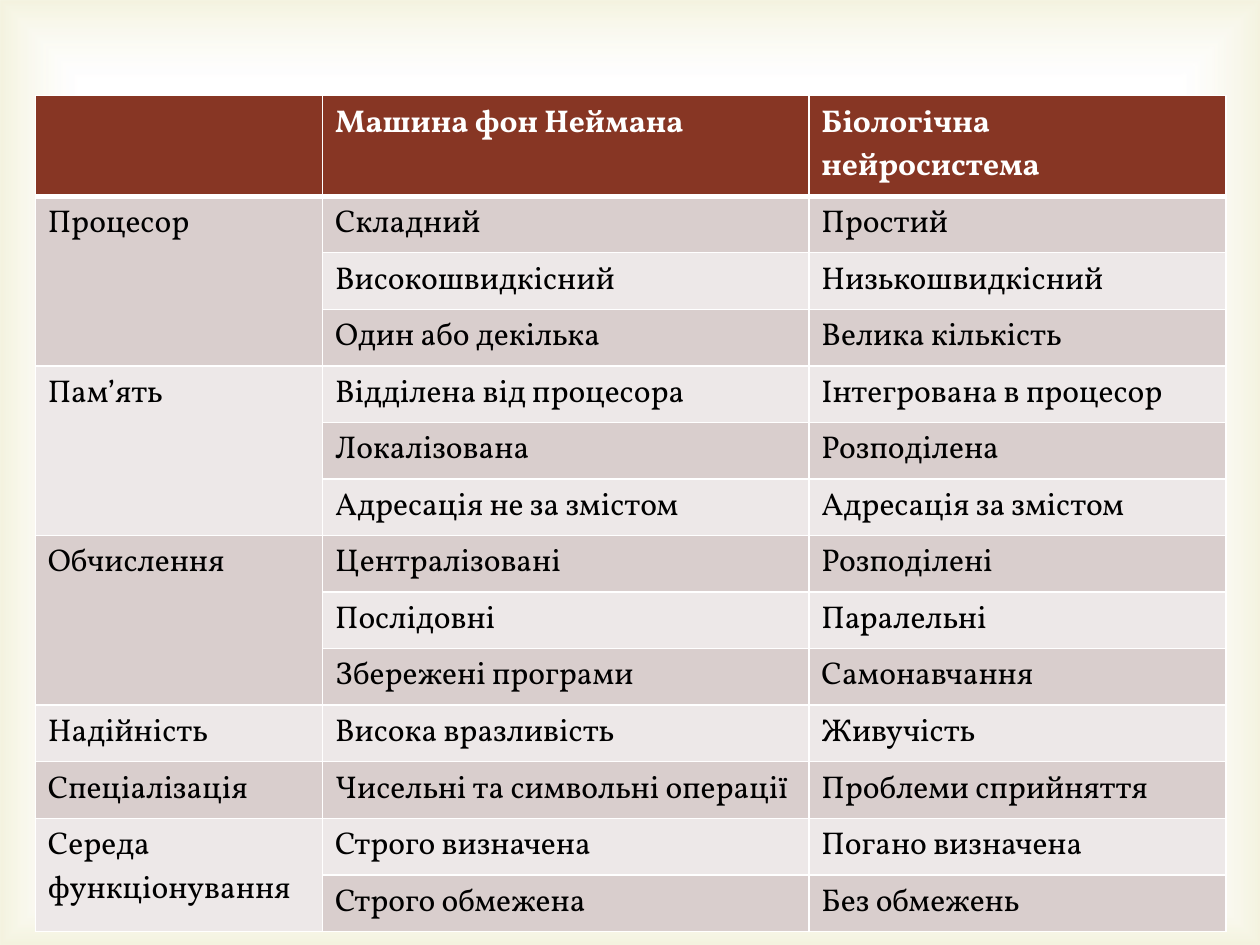
from lxml import etree
from pptx import Presentation
from pptx.dml.color import RGBColor
from pptx.enum.shapes import MSO_SHAPE
from pptx.oxml import parse_xml
from pptx.oxml.ns import nsdecls, qn
from pptx.util import Inches, Pt

RECT = MSO_SHAPE.RECTANGLE
FONT = "Vollkorn"
WHITE, BLACK = "FFFFFF", "000000"
HEADER, DARK_BAND, LIGHT_BAND = "873624", "D9CECD", "EDE8E8"
GLOW = "D1CA75"

COLUMNS = [2.28, 3.86, 3.31]
ROW_HEIGHT = 0.43
HEADINGS = ["", "Машина фон Неймана", "Біологічна нейросистема"]
GROUPS = [
    ("Процесор", [("Складний", "Простий"),
                  ("Високошвидкісний", "Низькошвидкісний"),
                  ("Один або декілька", "Велика кількість")]),
    ("Пам’ять", [("Відділена від процесора", "Інтегрована в процесор"),
                 ("Локалізована", "Розподілена"),
                 ("Адресація не за змістом", "Адресація за змістом")]),
    ("Обчислення", [("Централізовані", "Розподілені"),
                    ("Послідовні", "Паралельні"),
                    ("Збережені програми", "Самонавчання")]),
    ("Надійність", [("Висока вразливість", "Живучість")]),
    ("Спеціалізація", [("Чисельні та символьні операції", "Проблеми сприйняття")]),
    ("Середа функціонування", [("Строго визначена", "Погано визначена"),
                               ("Строго обмежена", "Без обмежень")]),
]


def rgb(color):
    return RGBColor.from_string(color)


class Deck:
    def __init__(self, width, height):
        self.prs = Presentation()
        self.prs.slide_width, self.prs.slide_height = Inches(width), Inches(height)
        self.s = self.prs.slides.add_slide(self.prs.slide_layouts[6])

    def glow(self, stops):
        """Cover the slide with a gradient; stops are (position, colour, opacity)."""
        sp = self.s.shapes.add_shape(RECT, 0, 0, self.prs.slide_width, self.prs.slide_height)
        sp.shadow.inherit = False
        sp.line.fill.background()
        sp.fill.background()
        gs = "".join(
            f'<a:gs pos="{pos * 1000}"><a:srgbClr val="{color}">'
            f'<a:alpha val="{alpha * 1000}"/></a:srgbClr></a:gs>'
            for pos, color, alpha in stops)
        grad = parse_xml(
            f'<a:gradFill {nsdecls("a")} rotWithShape="1"><a:gsLst>{gs}</a:gsLst>'
            '<a:path path="rect"><a:fillToRect l="50000" t="50000" r="50000" b="50000"/>'
            '</a:path></a:gradFill>')
        sp_pr = sp.element.spPr
        sp_pr.replace(sp_pr.find(qn("a:noFill")), grad)

    def table(self, left, top, columns, rows, row_height):
        frame = self.s.shapes.add_table(
            rows, len(columns), Inches(left), Inches(top),
            Inches(sum(columns)), Inches(row_height * rows))
        for column, width in zip(frame.table.columns, columns):
            column.width = Inches(width)
        return frame.table

    def cell(self, cell, text, fill, color=BLACK, bold=False, top=1, bottom=1):
        cell.fill.solid()
        cell.fill.fore_color.rgb = rgb(fill)
        self.borders(cell, L=1, R=1, T=top, B=bottom)
        p = cell.text_frame.paragraphs[0]
        p.text = text
        for r in p.runs:
            r.font.name, r.font.size = FONT, Pt(18)
            r.font.bold = bold
            r.font.color.rgb = rgb(color)

    def borders(self, cell, **widths):
        tc_pr = cell._tc.get_or_add_tcPr()
        for i, (side, width) in enumerate(widths.items()):
            ln = etree.Element(qn(f"a:ln{side}"), w=str(Pt(width)))
            fill = etree.SubElement(ln, qn("a:solidFill"))
            etree.SubElement(fill, qn("a:srgbClr"), val=WHITE)
            tc_pr.insert(i, ln)


def main():
    deck = Deck(10, 7.5)

    # Soft glow along the slide edges
    deck.glow([(83, WHITE, 11), (100, GLOW, 23)])

    # Table header
    rows = 1 + sum(len(pairs) for _, pairs in GROUPS)
    table = deck.table(0.28, 0.76, COLUMNS, rows, ROW_HEIGHT)
    for col, heading in enumerate(HEADINGS):
        deck.cell(table.cell(0, col), heading, HEADER, WHITE, bold=True, bottom=3)

    # Banded rows, with the first column merged over each group
    row = 1
    for name, pairs in GROUPS:
        first = row
        for pair in pairs:
            band = DARK_BAND if row % 2 else LIGHT_BAND
            label = name if row == first else ""
            for col, text in enumerate((label, *pair)):
                deck.cell(table.cell(row, col), text, band, top=3 if row == 1 else 1)
            row += 1
        if len(pairs) > 1:
            table.cell(first, 0).merge(table.cell(row - 1, 0))

    deck.prs.save("out.pptx")


if __name__ == "__main__":
    main()
